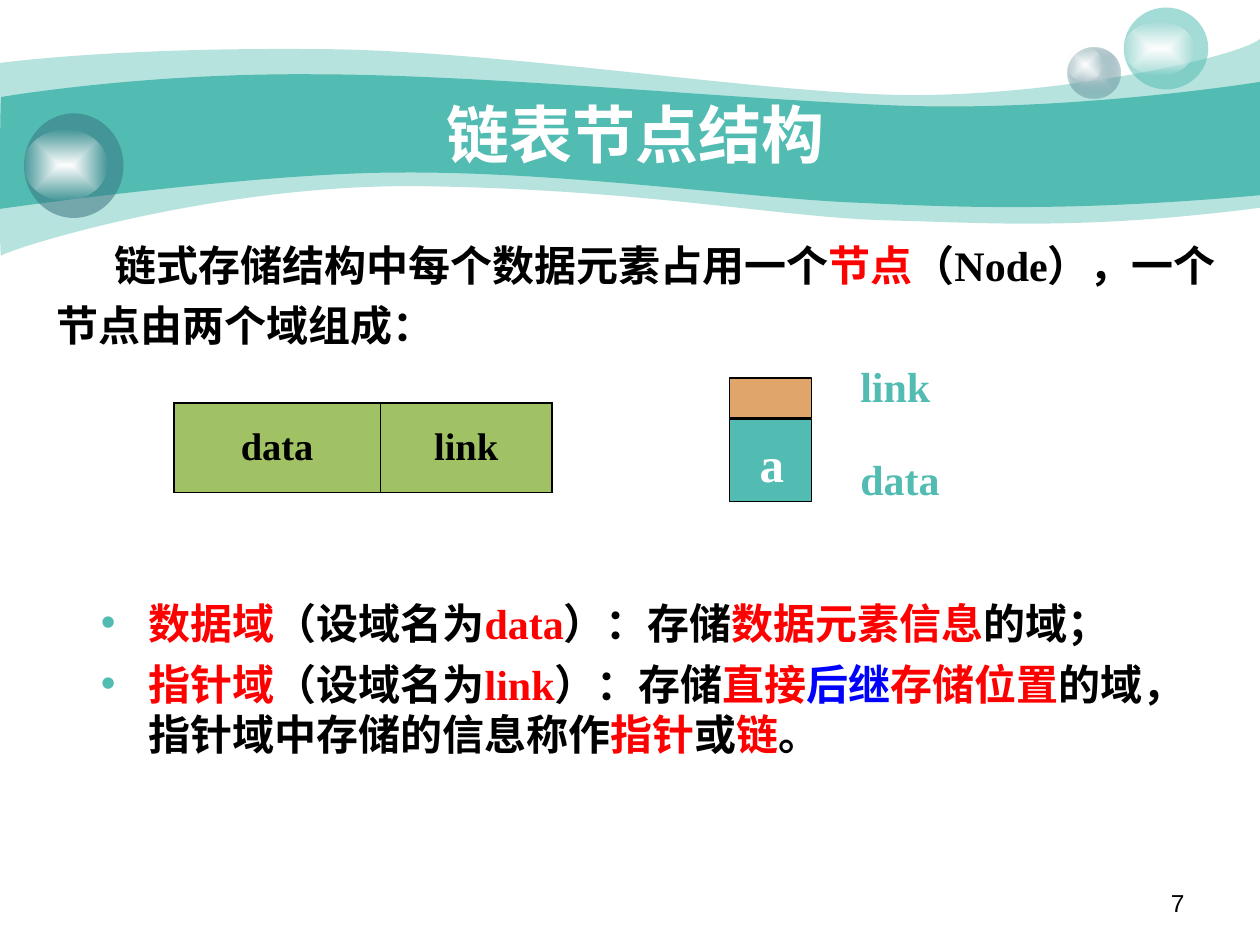
import pptx
import pptx.util
import pptx.dml.color
import pptx.enum.shapes
import pptx.enum.text
import pptx.oxml
import pptx.oxml.ns

Inches, Pt = pptx.util.Inches, pptx.util.Pt
RGBColor = pptx.dml.color.RGBColor
ALIGN = pptx.enum.text.PP_ALIGN
ANCHOR = pptx.enum.text.MSO_ANCHOR
FIT = pptx.enum.text.MSO_AUTO_SIZE
SHAPE = pptx.enum.shapes.MSO_SHAPE
NS = pptx.oxml.ns.nsdecls("a")
qn = pptx.oxml.ns.qn

TEAL = RGBColor(0x52, 0xBC, 0xB2)
DARK_TEAL = RGBColor(0x37, 0x73, 0x7F)
MIST = RGBColor(0xCC, 0xDB, 0xDE)
GREEN = RGBColor(0xA0, 0xC2, 0x64)
ORANGE = RGBColor(0xE0, 0xA5, 0x6A)
BLACK = RGBColor(0, 0, 0)
WHITE = RGBColor(0xFF, 0xFF, 0xFF)
RED = RGBColor(0xFF, 0, 0)
BLUE = RGBColor(0, 0, 0xFF)


def write(frame, *paragraphs, size=24, color=BLACK, font="Times New Roman", bold=True,
          align=ALIGN.LEFT, anchor=ANCHOR.TOP, spacing=1.0, gap=0,
          margin=0, indent=0, bullet=None, wrap=True, fit=FIT.NONE):
    """Each paragraph is a string or a list of (text, colour) runs."""
    frame.word_wrap = wrap
    frame.auto_size = fit
    frame.vertical_anchor = anchor
    for i, runs in enumerate(paragraphs):
        paragraph = frame.add_paragraph() if i else frame.paragraphs[0]
        properties = paragraph._p.get_or_add_pPr()
        properties.set("marL", str(Inches(margin)))
        properties.set("indent", str(Inches(indent)))
        if bullet:
            for tag in (f'<a:buClr {NS}><a:srgbClr val="{bullet}"/></a:buClr>',
                        f'<a:buChar {NS} char="•"/>'):
                properties.append(pptx.oxml.parse_xml(tag))
        paragraph.alignment = align
        paragraph.line_spacing = spacing
        paragraph.space_before = Pt(gap if i else 0)
        for text, run_color in [(runs, color)] if isinstance(runs, str) else runs:
            run = paragraph.add_run()
            run.text = text
            run.font.name, run.font.size, run.font.bold = font, Pt(size), bold
            run.font.color.rgb = run_color


def paint(shape, *stops):
    """Fill with (colour, opacity %) stops: one is solid, two run from centre to edge."""
    shape.shadow.inherit = False
    shape.line.fill.background()
    shape.fill.background()
    colors = [f'<a:srgbClr val="{c}"><a:alpha val="{a * 1000}"/></a:srgbClr>' for c, a in stops]
    if len(colors) == 1:
        xml = f"<a:solidFill {NS}>{colors[0]}</a:solidFill>"
    else:
        xml = (f'<a:gradFill {NS} rotWithShape="1"><a:gsLst><a:gs pos="0">{colors[0]}</a:gs>'
               f'<a:gs pos="100000">{colors[1]}</a:gs></a:gsLst><a:path path="rect">'
               '<a:fillToRect l="50000" t="50000" r="50000" b="50000"/></a:path></a:gradFill>')
    properties = shape.element.spPr
    properties.replace(properties.find(qn("a:noFill")), pptx.oxml.parse_xml(xml))


deck = pptx.Presentation()
deck.slide_width, deck.slide_height = Inches(10), Inches(7.5)
slide = deck.slides.add_slide(deck.slide_layouts[1])
shapes = slide.shapes

# Waves: a start point, then Bézier pieces (three points) or straight ones (one point)
waves = [
    (41, (0, 0.5), [
        [(0.24, 0.47), (1.07, 0.38), (2.47, 0.39)], [(3.86, 0.39), (5.75, 0.7), (6.99, 0.75)],
        [(8.22, 0.8), (9.8, 0.47), (10, 0.31)], [(10, 1.65)],
        [(8.58, 1.83), (7.87, 1.77), (7.05, 1.75)], [(6.22, 1.73), (5.15, 1.51), (3.43, 1.48)],
        [(1.72, 1.44), (0.04, 1.99), (0.01, 2.03)], [(-0.01, 2.08), (0, 0.75), (0, 0.5)]]),
    (100, (0.01, 0.77), [
        [(0.02, 0.77), (1.1, 0.58), (2.48, 0.59)], [(3.86, 0.59), (5.95, 0.8), (7.18, 0.84)],
        [(8.41, 0.88), (9.76, 0.69), (10, 0.65)], [(10, 1.55)],
        [(8.53, 1.68), (7.65, 1.65), (6.82, 1.61)], [(5.99, 1.58), (4.47, 1.36), (3.17, 1.37)],
        [(2.03, 1.37), (-0.02, 1.66), (-0.01, 1.66)], [(0, 1.66), (0, 0.77), (0.01, 0.77)]]),
]
for opacity, (x, y), pieces in waves:
    outline = shapes.build_freeform(Inches(x), Inches(y))
    outline.add_line_segments([(Inches(px), Inches(py)) for piece in pieces for px, py in piece])
    wave = outline.convert_to_shape()
    # Join each three line steps of a Bézier piece into one curve
    lines = iter(list(wave.element.iter(qn("a:lnTo"))))
    for piece in pieces:
        steps = [next(lines) for point in piece]
        if len(steps) == 3:
            curve = pptx.oxml.parse_xml(f"<a:cubicBezTo {NS}/>")
            steps[0].addprevious(curve)
            for step in steps:
                curve.append(step[0])
                step.getparent().remove(step)
    paint(wave, (TEAL, opacity))

# Glass balls, each with a highlight
shine = [(WHITE, 100), (WHITE, 0)]
balls = [
    ((8.47, 0.38, 0.42, 0.4), [(MIST, 100), (DARK_TEAL, 31)]),
    ((8.47, 0.38, 0.28, 0.27), shine),
    ((8.92, 0.06, 0.67, 0.65), [(TEAL, 53)]),
    ((8.92, 0.17, 0.56, 0.43), shine),
    ((0.19, 0.9, 0.79, 0.83), [(DARK_TEAL, 53)]),
    ((0.19, 1.03, 0.66, 0.56), shine),
]
for place, stops in balls:
    paint(shapes.add_shape(SHAPE.OVAL, *map(Inches, place)), *stops)

# Title and list, brought in front of the waves
title, field_list = shapes.title, slide.placeholders[1]
for holder, place in ((title, (1, 0.75, 8.08, 0.62)), (field_list, (0.43, 4.69, 9.26, 1.39))):
    holder.left, holder.top, holder.width, holder.height = map(Inches, place)
    holder.element.getparent().append(holder.element)
write(title.text_frame, "链表节点结构", size=36, color=WHITE,
      align=ALIGN.CENTER, anchor=ANCHOR.MIDDLE)
write(field_list.text_frame,
      [("数据域", RED), ("（设域名为", BLACK), ("data", RED), ("）：存储", BLACK),
       ("数据元素信息", RED), ("的域；", BLACK)],
      [("指针域", RED), ("（设域名为", BLACK), ("link", RED), ("）：存储", BLACK),
       ("直接", RED), ("后继", BLUE), ("存储位置", RED),
       ("的域，指针域中存储的信息称作", BLACK), ("指针", RED), ("或", BLACK),
       ("链", RED), ("。", BLACK)],
      gap=6, margin=0.65, indent=-0.38, bullet=TEAL)

# Introduction
intro = shapes.add_textbox(Inches(0.35), Inches(1.77), Inches(9.45), Inches(1.06))
write(intro.text_frame,
      [("链式存储结构中每个数据元素占用一个", BLACK), ("节点", RED),
       ("（Node），一个节点由两个域组成：", BLACK)],
      spacing=1.2, indent=0.46, fit=FIT.SHAPE_TO_FIT_TEXT)

# Node as a table of two fields
node = shapes.add_table(1, 2, Inches(1.38), Inches(3.2), Inches(3), Inches(0.71)).table
node.first_row = node.horz_banding = False
for column, (field, width) in enumerate((("data", 1.64), ("link", 1.36))):
    node.columns[column].width = Inches(width)
    cell = node.cell(0, column)
    for side in ("lnL", "lnR", "lnT", "lnB"):
        cell._tc.get_or_add_tcPr().append(pptx.oxml.parse_xml(
            f'<a:{side} {NS} w="{Pt(1.08)}"><a:solidFill><a:srgbClr val="{BLACK}"/>'
            f'</a:solidFill></a:{side}>'))
    cell.fill.solid()
    cell.fill.fore_color.rgb = GREEN
    write(cell.text_frame, field, size=22, align=ALIGN.CENTER)
    cell.vertical_anchor = ANCHOR.MIDDLE

# Node as a stack of two boxes
for top, height, color in ((3.33, 0.65, TEAL), (3, 0.32, ORANGE)):
    box = shapes.add_shape(SHAPE.RECTANGLE, Inches(5.79), Inches(top), Inches(0.65), Inches(height))
    box.shadow.inherit = False
    box.fill.solid()
    box.fill.fore_color.rgb = color
    box.line.color.rgb = BLACK
    box.line.width = Pt(1)
value = shapes.add_textbox(Inches(5.93), Inches(3.39), Inches(0.4), Inches(0.57))
write(value.text_frame, "a", size=28, color=WHITE, wrap=False, fit=FIT.SHAPE_TO_FIT_TEXT)
for field, top in (("data", 3.55), ("link", 2.81)):
    label = shapes.add_textbox(Inches(6.73), Inches(top), Inches(1.26), Inches(0.5))
    write(label.text_frame, field, color=TEAL, fit=FIT.SHAPE_TO_FIT_TEXT)

# Page number
page = shapes.add_textbox(Inches(7.17), Inches(7), Inches(2.33), Inches(0.35))
write(page.text_frame, "7", size=14, font="Arial", bold=False, align=ALIGN.RIGHT)

deck.save("out.pptx")
